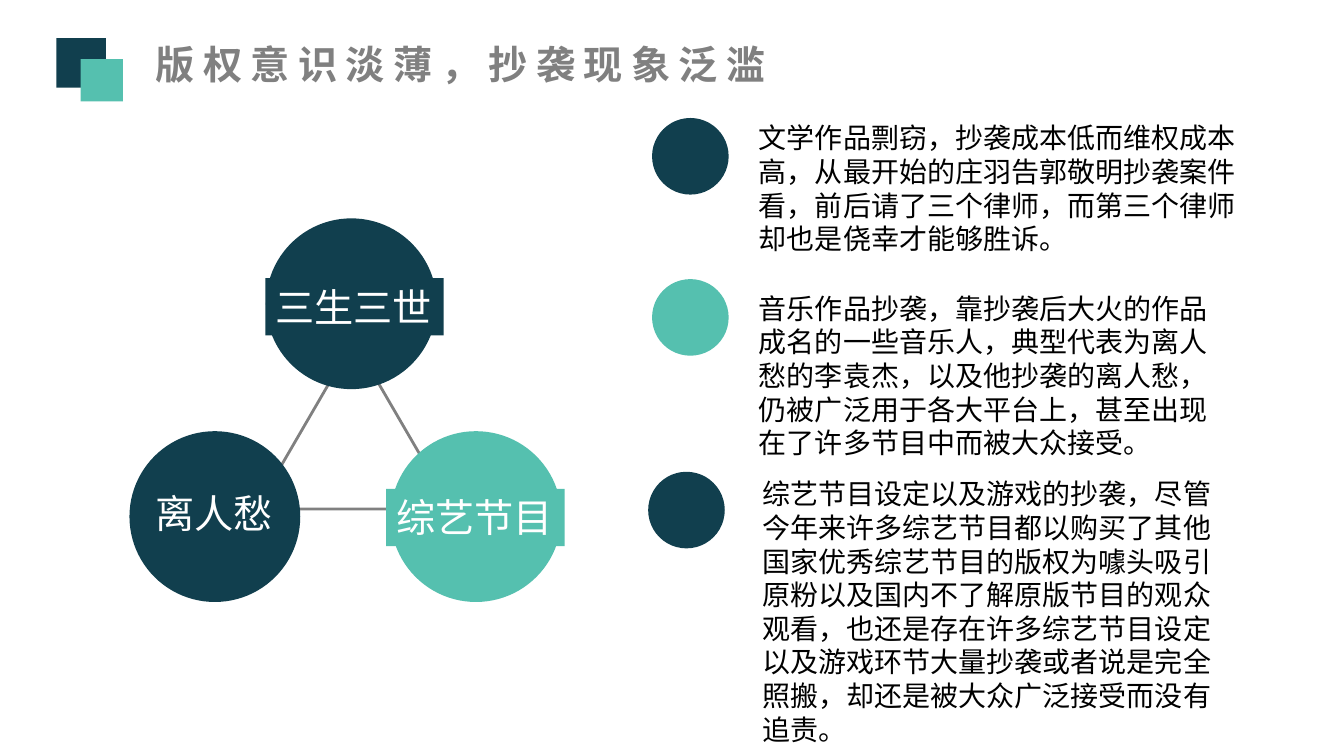
from pptx import Presentation
from pptx import util as u
from pptx.dml.color import RGBColor
from pptx.enum import shapes, text
from pptx.oxml.ns import qn

TITLE = "版权意识淡薄，抄袭现象泛滥"
NODES = [  # label, fill, circle left/top, label left/top/width
    ("三生三世", "navy", (190, 156), (189.5, 198.7, 127.5)),
    ("综艺节目", "teal", (279, 308), (275.8, 349.2, 127.5)),
    ("离人愁", "navy", (92.5, 308), (103.7, 346.3, 99.5)),
]
POINTS = [  # paragraph, fill, dot left/top, body left/top/width/height
    ("文学作品剽窃，抄袭成本低而维权成本高，从最开始的庄羽告郭敬明抄袭案件看，"
     "前后请了三个律师，而第三个律师却也是侥幸才能够胜诉。",
     "navy", (465.8, 84.3), (535, 82.8, 373, 104.4)),
    ("音乐作品抄袭，靠抄袭后大火的作品成名的一些音乐人，典型代表为离人愁的李袁杰，"
     "以及他抄袭的离人愁，仍被广泛用于各大平台上，甚至出现在了许多节目中而被大众接受。",
     "teal", (465.8, 199.4), (535, 204.5, 337, 128.2)),
    ("综艺节目设定以及游戏的抄袭，尽管今年来许多综艺节目都以购买了其他国家优秀综艺节目的"
     "版权为噱头吸引原粉以及国内不了解原版节目的观众观看，也还是存在许多综艺节目设定以及"
     "游戏环节大量抄袭或者说是完全照搬，却还是被大众广泛接受而没有追责。",
     "navy", (463, 337), (537.5, 337, 340.5, 200.9)),
]
THEME = {
    "navy": RGBColor(0x11, 0x3F, 0x4E), "teal": RGBColor(0x55, 0xC0, 0xAF),
    "gray": RGBColor(0x80, 0x80, 0x80), "white": RGBColor(255, 255, 255),
    "black": RGBColor(0, 0, 0),
    "font": "Noto Sans CJK SC", "heading": 28, "body": 20, "leading": 1.2,
}
NODE_SIZE, DOT_SIZE, LABEL_HEIGHT = 122, 54.7, 41


def add_block(slide, kind, box, fill=None, line=None):
    """Add a flat preset shape with an optional fill and outline colour."""
    block = slide.shapes.add_shape(kind, *map(u.Pt, box))
    block.shadow.inherit = False
    if fill:
        block.fill.solid()
        block.fill.fore_color.rgb = THEME[fill]
    else:
        block.fill.background()
    if line:
        block.line.color.rgb = THEME[line]
        block.line.width = u.Pt(2)
    else:
        block.line.fill.background()
    return block


def write(holder, words, size, color, wrap=False, bold=False, spacing=0,
          align=text.PP_ALIGN.LEFT):
    """Put one styled paragraph into a shape or text box."""
    frame = holder.text_frame
    frame.word_wrap = wrap
    frame.vertical_anchor = text.MSO_ANCHOR.TOP
    paragraph = frame.paragraphs[0]
    paragraph.text = words
    paragraph.alignment = align
    paragraph.line_spacing = u.Pt(THEME[size] * THEME["leading"])
    font = paragraph.font
    font.name, font.size, font.bold = THEME["font"], u.Pt(THEME[size]), bold
    font.color.rgb = THEME[color]
    props = paragraph._p.pPr.find(qn("a:defRPr"))
    props.set("spc", str(spacing * 100))
    east_asian = props.makeelement(qn("a:ea"), {"typeface": THEME["font"]})
    props.find(qn("a:latin")).addnext(east_asian)


def add_heading(slide):
    """Draw the two overlapping squares and the title."""
    add_block(slide, shapes.MSO_SHAPE.RECTANGLE, (40.3, 27.3, 35.3, 35.3), "navy")
    add_block(slide, shapes.MSO_SHAPE.RECTANGLE, (57.6, 42.3, 30.2, 30.2), "teal")
    title = slide.shapes.add_textbox(*map(u.Pt, (98.6, 25.2, 461, LABEL_HEIGHT)))
    write(title, TITLE, "heading", "gray", bold=True, spacing=6,
          align=text.PP_ALIGN.CENTER)


def add_triangle(slide):
    """Draw the triangle, its corner circles and then their labels."""
    add_block(slide, shapes.MSO_SHAPE.ISOSCELES_TRIANGLE,
              (182.9, 243.4, 139.7, 120.2), line="gray")
    for _, fill, corner, _ in NODES:
        add_block(slide, shapes.MSO_SHAPE.OVAL, (*corner, NODE_SIZE, NODE_SIZE), fill)
    for label, fill, _, place in NODES:
        plate = add_block(slide, shapes.MSO_SHAPE.RECTANGLE,
                          (*place, LABEL_HEIGHT), fill)
        write(plate, label, "heading", "white")


def add_points(slide):
    """Draw each dot with its paragraph."""
    for words, fill, corner, box in POINTS:
        add_block(slide, shapes.MSO_SHAPE.OVAL, (*corner, DOT_SIZE, DOT_SIZE), fill)
        body = slide.shapes.add_textbox(*map(u.Pt, box))
        write(body, words, "body", "black", wrap=True)


deck = Presentation()
deck.slide_width, deck.slide_height = u.Pt(960), u.Pt(540)
page = deck.slides.add_slide(deck.slide_layouts[6])
add_heading(page)
add_triangle(page)
add_points(page)
deck.save("out.pptx")
